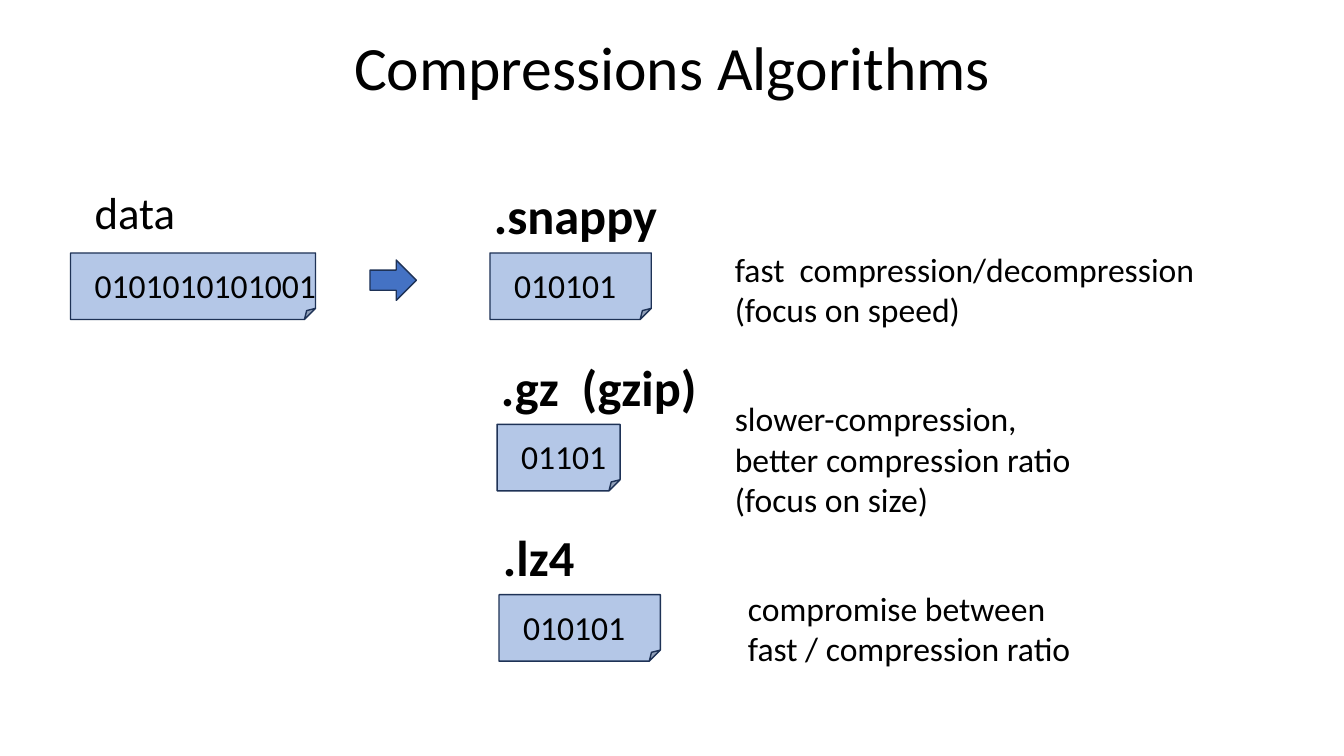
from pptx import Presentation
from pptx.dml.color import RGBColor
from pptx.enum import shapes, text
from pptx.util import Inches, Pt

FONT = "Calibri"
BLACK, PALE_BLUE, BLUE, NAVY = "000000", "B4C7E7", "4472C4", "1E3256"

# name, left of file, top of file, file width, bits, bits width, name width
FORMATS = [
    (".snappy", 4.86, 2.51, 1.6, "010101", 1.22, 1.84),
    (".gz  (gzip)", 4.93, 4.21, 1.22, "01101", 1.05, 2.17),
    (".lz4", 4.95, 5.9, 1.6, "010101", 1.22, 0.92),
]

# left, top, width, height, lines
DESCRIPTIONS = [
    (7.19, 2.42, 4.8, 0.91,
     ["fast  compression/decompression", "(focus on speed)"]),
    (7.19, 3.9, 3.57, 1.31,
     ["slower-compression,", "better compression ratio", "(focus on size)"]),
    (7.32, 5.78, 3.43, 0.91,
     ["compromise between", "fast / compression ratio"]),
]


def color(hex_value):
    return RGBColor.from_string(hex_value)


def add_run(paragraph, content, size, bold=False):
    run = paragraph.add_run()
    run.text = content
    run.font.name = FONT
    run.font.size = Pt(size)
    run.font.bold = bold
    run.font.color.rgb = color(BLACK)


def set_title(slide, content):
    title = slide.shapes.title
    title.left, title.top = Inches(0.92), Inches(0.15)
    title.width, title.height = Inches(11.5), Inches(1.09)
    title.text_frame.vertical_anchor = text.MSO_ANCHOR.MIDDLE
    paragraph = title.text_frame.paragraphs[0]
    paragraph.alignment = text.PP_ALIGN.CENTER
    paragraph.line_spacing = 0.9
    add_run(paragraph, content, 44)


def add_label(slide, left, top, width, height, lines, size, bold=False):
    box = slide.shapes.add_textbox(
        Inches(left), Inches(top), Inches(width), Inches(height))
    frame = box.text_frame
    frame.word_wrap = False
    frame.auto_size = text.MSO_AUTO_SIZE.SHAPE_TO_FIT_TEXT
    for index, line in enumerate(lines):
        paragraph = frame.add_paragraph() if index else frame.paragraphs[0]
        add_run(paragraph, line, size, bold)


def add_block(slide, kind, left, top, width, height, fill):
    shape = slide.shapes.add_shape(
        kind, Inches(left), Inches(top), Inches(width), Inches(height))
    shape.shadow.inherit = False
    shape.fill.solid()
    shape.fill.fore_color.rgb = color(fill)
    shape.line.color.rgb = color(NAVY)
    shape.line.width = Pt(1)


def add_file(slide, left, top, width, bits, bits_width):
    add_block(slide, shapes.MSO_SHAPE.FOLDED_CORNER,
              left, top, width, 0.66, PALE_BLUE)
    add_label(slide, left + 0.14, top + 0.07, bits_width, 0.5, [bits], 24)


def main():
    presentation = Presentation()
    presentation.slide_width = Inches(13.33)
    presentation.slide_height = Inches(7.5)
    slide = presentation.slides.add_slide(presentation.slide_layouts[5])
    set_title(slide, "Compressions Algorithms")

    # Uncompressed data and the arrow to its compressed forms
    add_label(slide, 0.84, 1.78, 1.01, 0.64, ["data"], 32)
    add_file(slide, 0.7, 2.51, 2.43, "0101010101001", 2.41)
    add_block(slide, shapes.MSO_SHAPE.RIGHT_ARROW,
              3.67, 2.58, 0.46, 0.4, BLUE)

    # Compressed files, each with its format name above
    for name, left, top, width, bits, bits_width, name_width in FORMATS:
        add_file(slide, left, top, width, bits, bits_width)
        add_label(slide, left - 0.06, top - 0.73, name_width, 0.71,
                  [name], 36, bold=True)

    # Trade-off of each format
    for left, top, width, height, lines in DESCRIPTIONS:
        add_label(slide, left, top, width, height, lines, 24)

    presentation.save("out.pptx")


if __name__ == "__main__":
    main()
